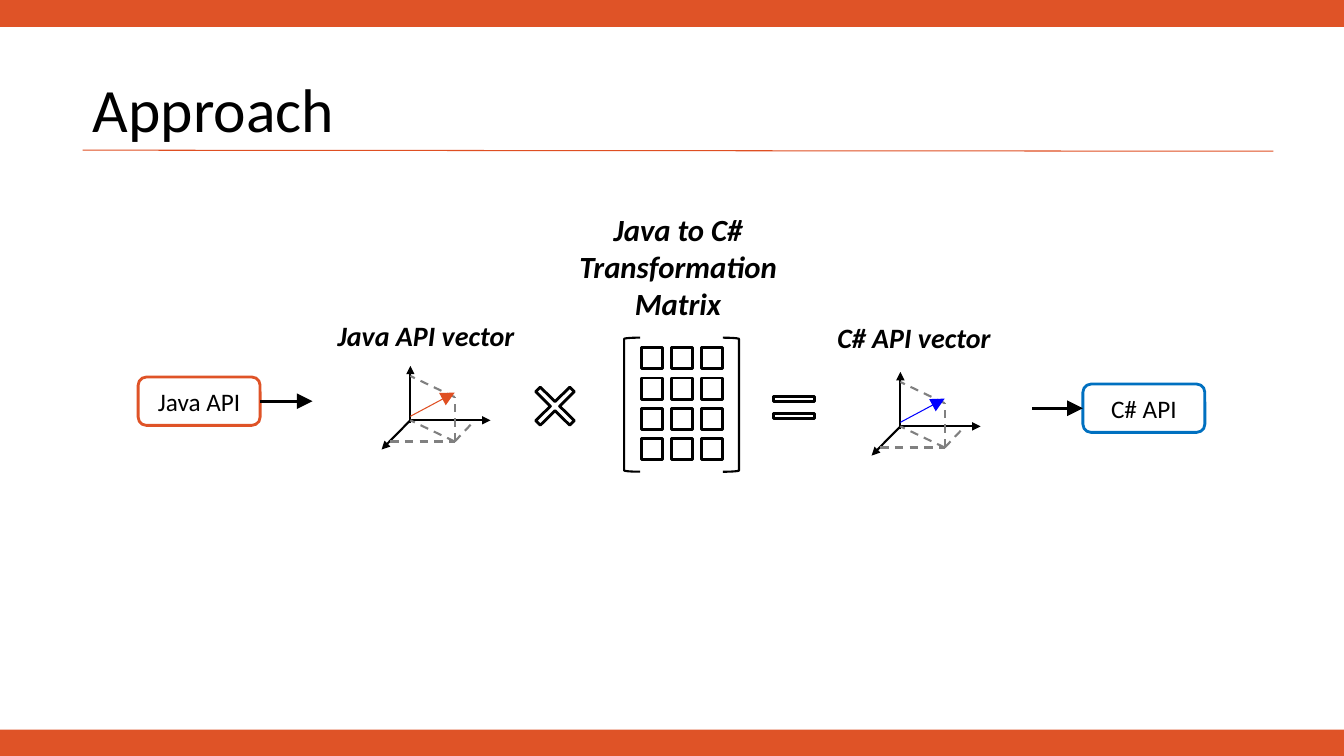
from lxml import etree
from pptx import Presentation, util as u
from pptx.dml.color import RGBColor
from pptx.enum import dml, shapes, text
from pptx.oxml.ns import qn

COLS, ROWS = 133.3, 75
CELL = u.Inches(0.1)
KIND = shapes.MSO_SHAPE
ORANGE, BLUE, BLACK, GREY, WHITE = "DF5327", "0070C0", "000000", "808080", "FFFFFF"
RED = "DF4F22"
LABEL = {"bold": True, "italic": True}


def cells(*vals):
    """Turn grid counts into slide lengths."""
    return [round(v * CELL) for v in vals]


def paint(fmt, color):
    """Give a fill one solid colour, or none."""
    if color:
        fmt.solid()
        fmt.fore_color.rgb = RGBColor.from_string(color)
    else:
        fmt.background()


def put(obj, fmt):
    for key, val in fmt.items():
        setattr(obj, key, val)


def write(item, lines, size, align, anchor, **fmt):
    frame = item.text_frame
    put(frame, {"word_wrap": True, "vertical_anchor": anchor,
                "auto_size": text.MSO_AUTO_SIZE.NONE, "text": "\n".join(lines)})
    for para in frame.paragraphs:
        para.alignment = align
        put(para.font, {"name": "Calibri", "size": u.Pt(size), **fmt})
        paint(para.font.fill, BLACK)


def center(item, lines, size, **fmt):
    write(item, lines, size, text.PP_ALIGN.CENTER, text.MSO_ANCHOR.MIDDLE, **fmt)


def label(slide, box, lines, size):
    center(slide.shapes.add_textbox(*cells(*box)), lines, size, **LABEL)


def draw(slide, kind, box, fill=None, line=BLACK, width=2, adj=()):
    item = slide.shapes.add_shape(kind, *cells(*box))
    item.shadow.inherit = False
    paint(item.fill, fill)
    paint(item.line.fill, line)
    if line:
        item.line.width = u.Pt(width)
    for i, val in enumerate(adj):
        item.adjustments[i] = val
    return item


def link(slide, start, end, color=BLACK, width=1.5, dash=False, head=None):
    """Draw a straight line; head is the arrowhead size, med or lg."""
    item = slide.shapes.add_connector(
        shapes.MSO_CONNECTOR.STRAIGHT, *cells(*start, *end))
    paint(item.line.fill, color)
    item.line.width = u.Pt(width)
    if dash:
        item.line.dash_style = dml.MSO_LINE.DASH
    if head:
        etree.SubElement(item.line._get_or_add_ln(), qn("a:tailEnd"),
                         type="triangle", w=head, len=head)
    etree.SubElement(item._element.spPr, qn("a:effectLst"))
    return item


def frame(slide):
    """Lay out the coloured bands, the title and its rule."""
    paint(slide.background.fill, ORANGE)
    page = draw(slide, KIND.RECTANGLE, (0, 2.7, COLS, 69.7), WHITE, None)
    slide.shapes._spTree.insert(2, page._element)
    title = slide.shapes.title
    put(title, dict(zip(("left", "top", "width", "height"),
                        cells(8.2, 6.7, 118.2, 8.3))))
    write(title, ["Approach"], 44, text.PP_ALIGN.LEFT, text.MSO_ANCHOR.BOTTOM)
    title.text_frame.paragraphs[0].line_spacing = 0.9
    link(slide, (8.2, 14.9), (126.3, 15), RED, 0.75)


def matrix(slide):
    label(slide, (52.4, 21.2, 29.7, 10.5),
          ["Java to C#", "Transformation Matrix"], 22)
    for row in range(4):
        for col in range(3):
            draw(slide, KIND.RECTANGLE,
                 (63.6 + 2.97 * col, 34.5 + 3 * row, 2.1, 2.1))
    for left, turn in ((61.9, 0), (71.7, 180)):
        side = draw(slide, KIND.LEFT_BRACKET, (left, 33.5, 1.6, 13.3),
                    width=1.5, adj=[0.08])
        side.rotation = turn


def vector(slide, left, top, color, name, spot):
    """Draw axes around an origin, the dashed projection and the vector."""
    def edge(start, end, **fmt):
        link(slide, (left + start[0], top + start[1]),
             (left + end[0], top + end[1]), **fmt)

    zero, foot, tip = (0, 0), (4.4, 2.1), (4.4, -2.3)
    for start, end in ((zero, (7.95, 0)), ((0, 0.3), (0, -5.4)),
                       (zero, (-2.85, 2.9))):
        edge(start, end, head="med")
    for start, end in ((tip, (0, -4.4)), (foot, tip), (foot, (6.4, 0)),
                       ((-2, 2.1), foot), (foot, zero)):
        edge(start, end, color=GREY, dash=True)
    edge((0, -0.4), (4.4, -2.75), color=color, width=0.75, head="lg")
    label(slide, (*spot, 21.1, 4.4), [name], 20)


def node(slide, left, top, color, name):
    box = draw(slide, KIND.ROUNDED_RECTANGLE, (left, top, 12.1, 4.8),
               line=color, adj=[0.17])
    center(box, [name], 18)
    return box


def main():
    deck = Presentation()
    deck.slide_width, deck.slide_height = cells(COLS, ROWS)
    slide = deck.slides.add_slide(deck.slide_layouts[5])
    frame(slide)
    matrix(slide)
    vector(slide, 40.7, 41.7, RED, "Java API vector", (31.7, 31.1))
    vector(slide, 89.3, 42.3, "0000FF", "C# API vector", (80.1, 31.3))
    draw(slide, KIND.MATH_MULTIPLY, (51.8, 37.1, 6.5, 6.4), WHITE, adj=[0.1])
    draw(slide, KIND.MATH_EQUAL, (76, 38.1, 5.5, 4.7), WHITE, adj=[0.11, 0.25])
    java = node(slide, 13.7, 37.4, ORANGE, "Java API")
    sharp = node(slide, 107.4, 38.1, BLUE, "C# API")
    link(slide, (25.8, 39.8), (31, 39.8), width=2.25, head="lg").begin_connect(java, 3)
    link(slide, (102.4, 40.5), (107.4, 40.5), width=2.25, head="lg").end_connect(sharp, 1)
    deck.save("out.pptx")


if __name__ == "__main__":
    main()
